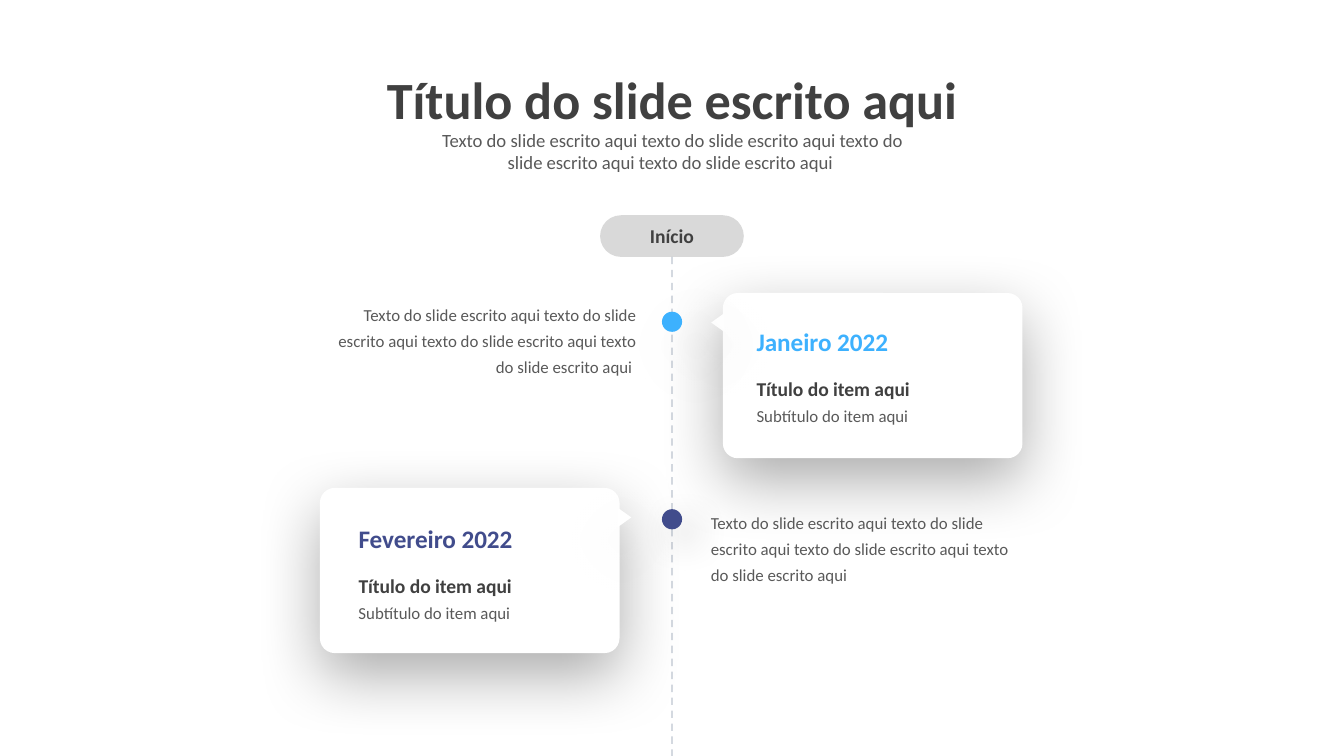
from dataclasses import dataclass

from lxml import etree
from pptx import Presentation
from pptx.dml.color import RGBColor
from pptx.enum.dml import MSO_LINE
from pptx.enum.shapes import MSO_CONNECTOR, MSO_SHAPE
from pptx.enum.text import MSO_ANCHOR, MSO_AUTO_SIZE, PP_ALIGN
from pptx.oxml.ns import qn
from pptx.util import Pt

ROUNDED, TRIANGLE, OVAL = MSO_SHAPE.ROUNDED_RECTANGLE, MSO_SHAPE.ISOSCELES_TRIANGLE, MSO_SHAPE.OVAL
LEFT, CENTER, RIGHT = PP_ALIGN.LEFT, PP_ALIGN.CENTER, PP_ALIGN.RIGHT
TOP, MIDDLE = MSO_ANCHOR.TOP, MSO_ANCHOR.MIDDLE
GROW = MSO_AUTO_SIZE.SHAPE_TO_FIT_TEXT
STRAIGHT, DASH = MSO_CONNECTOR.STRAIGHT, MSO_LINE.DASH

WHITE = RGBColor(0xFF, 0xFF, 0xFF)
PILL_GRAY = RGBColor(0xD9, 0xD9, 0xD9)
DARK = RGBColor(0x40, 0x40, 0x40)
BODY = RGBColor(0x59, 0x59, 0x59)
AXIS = RGBColor(0x2C, 0x41, 0x66)
SKY = RGBColor(0x3D, 0xB1, 0xFE)
INDIGO = RGBColor(0x41, 0x4C, 0x8C)

FONT = "Calibri"
SLIDE_WIDTH, SLIDE_HEIGHT = 720, 405
AXIS_X = SLIDE_WIDTH / 2
CARD_WIDTH, CARD_HEIGHT = 160.5, 88.5
POINTER_WIDTH, POINTER_HEIGHT = 10, 7
DOT_SIZE = 10.8
DESCRIPTION = " ".join(["Texto do slide escrito aqui"] + ["texto do slide escrito aqui"] * 3)


@dataclass
class Shadow:
    opacity: int  # percent
    blur: float
    distance: float
    angle: int


@dataclass
class Style:
    size: float
    color: RGBColor
    bold: bool = False
    align: PP_ALIGN = LEFT
    line_spacing: float = 1.0


@dataclass
class Milestone:
    month: str
    color: RGBColor
    card_left: float
    card_top: float
    label_left: float
    label_top: float
    dot_y: float
    dot_shadow: Shadow
    description: str
    description_box: tuple[float, float, float, float]
    description_align: PP_ALIGN

    @property
    def card_on_right(self) -> bool:
        return self.card_left > AXIS_X


CARD_SHADOW = Shadow(32, 35, 12, 90)
ITEM_TITLE = Style(10.5, DARK, bold=True)
ITEM_SUBTITLE = Style(9, BODY, line_spacing=1.3)

MILESTONES = [
    Milestone("Janeiro 2022", SKY, 387.3, 157, 398.2, 171.4, 172.4,
              Shadow(23, 40, 18, 45), DESCRIPTION + " ",
              (170.6, 156.2, 177.1, 49), RIGHT),
    Milestone("Fevereiro 2022", INDIGO, 171.4, 261.4, 185, 277, 278.2,
              Shadow(23, 20, 10, 45), DESCRIPTION,
              (373.7, 267.8, 179.3, 49), LEFT),
]


def add_shadow(shape, shadow: Shadow) -> None:
    effects = shape.element.spPr.find(qn("a:effectLst"))
    outer = etree.SubElement(effects, qn("a:outerShdw"), blurRad=str(Pt(shadow.blur)),
                             dist=str(Pt(shadow.distance)), dir=str(shadow.angle * 60000),
                             algn="ctr", rotWithShape="0")
    color = etree.SubElement(outer, qn("a:srgbClr"), val="000000")
    etree.SubElement(color, qn("a:alpha"), val=str(shadow.opacity * 1000))


def add_filled(shapes, kind: MSO_SHAPE, left: float, top: float, width: float,
               height: float, color: RGBColor, shadow: Shadow | None = None):
    shape = shapes.add_shape(kind, Pt(left), Pt(top), Pt(width), Pt(height))
    shape.fill.solid()
    shape.fill.fore_color.rgb = color
    shape.line.fill.background()
    shape.shadow.inherit = False
    if shadow:
        add_shadow(shape, shadow)
    return shape


def write_text(shape, text: str, style: Style, anchor: MSO_ANCHOR = TOP) -> None:
    frame = shape.text_frame
    frame.word_wrap = True
    frame.vertical_anchor = anchor
    paragraph = frame.paragraphs[0]
    paragraph.text = text
    paragraph.alignment = style.align
    paragraph.line_spacing = style.line_spacing
    paragraph.font.name = FONT
    paragraph.font.size = Pt(style.size)
    paragraph.font.bold = style.bold
    paragraph.font.color.rgb = style.color


def add_text(slide, text: str, left: float, top: float, width: float, height: float,
             style: Style) -> None:
    box = slide.shapes.add_textbox(Pt(left), Pt(top), Pt(width), Pt(height))
    write_text(box, text, style)
    box.text_frame.auto_size = GROW


def add_title(slide, text: str) -> None:
    title = slide.shapes.title
    title.left, title.top, title.width, title.height = Pt(140.7), Pt(32.4), Pt(438.5), Pt(41)
    write_text(title, text, Style(28, DARK, bold=True, align=CENTER))
    title.text_frame.auto_size = GROW


def add_axis(slide, start_shape) -> None:
    axis = slide.shapes.add_connector(STRAIGHT, Pt(AXIS_X), Pt(0), Pt(AXIS_X), Pt(SLIDE_HEIGHT))
    axis.begin_connect(start_shape, 2)
    axis.line.color.rgb = AXIS
    axis.line.width = Pt(1)
    axis.line.dash_style = DASH
    properties = axis.element.spPr
    color = next(properties.iter(qn("a:srgbClr")))
    etree.SubElement(color, qn("a:alpha"), val="20000")
    etree.SubElement(properties, qn("a:effectLst"))


def add_card(slide, milestone: Milestone) -> None:
    group = slide.shapes.add_group_shape()
    left, top = milestone.card_left, milestone.card_top
    card = add_filled(group.shapes, ROUNDED, left, top, CARD_WIDTH, CARD_HEIGHT,
                      WHITE, CARD_SHADOW)
    card.adjustments[0] = 0.09
    # The pointer faces the axis
    pointer_x = left - 2.8 if milestone.card_on_right else left + CARD_WIDTH + 2.8
    pointer = add_filled(group.shapes, TRIANGLE, pointer_x - POINTER_WIDTH / 2,
                         top + 15.8 - POINTER_HEIGHT / 2, POINTER_WIDTH, POINTER_HEIGHT,
                         WHITE, CARD_SHADOW)
    pointer.rotation = 270 if milestone.card_on_right else 90


def add_milestone(slide, milestone: Milestone) -> None:
    add_card(slide, milestone)
    add_filled(slide.shapes, OVAL, AXIS_X - DOT_SIZE / 2, milestone.dot_y - DOT_SIZE / 2,
               DOT_SIZE, DOT_SIZE, milestone.color, milestone.dot_shadow)
    add_text(slide, milestone.description, *milestone.description_box,
             Style(9, BODY, align=milestone.description_align, line_spacing=1.3))
    left, top = milestone.label_left, milestone.label_top
    add_text(slide, milestone.month, left, top, 140, 23.7,
             Style(13.5, milestone.color, bold=True))
    add_text(slide, "Título do item aqui", left, top + 27, 140, 20, ITEM_TITLE)
    add_text(slide, "Subtítulo do item aqui", left, top + 38.9, 113, 21, ITEM_SUBTITLE)


def main() -> None:
    presentation = Presentation()
    presentation.slide_width, presentation.slide_height = Pt(SLIDE_WIDTH), Pt(SLIDE_HEIGHT)
    slide = presentation.slides.add_slide(presentation.slide_layouts[5])

    # Heading
    add_title(slide, "Título do slide escrito aqui")
    add_text(slide, DESCRIPTION + " ", 223, 65.5, 274.3, 31.7, Style(10, BODY, align=CENTER))

    # Start label and dashed axis
    start = add_filled(slide.shapes, ROUNDED, AXIS_X - 38.5, 115.3, 77, 22.3, PILL_GRAY)
    start.adjustments[0] = 0.5
    write_text(start, "Início", Style(10.5, DARK, bold=True, align=CENTER), MIDDLE)
    add_axis(slide, start)

    # Milestones on alternating sides
    for milestone in MILESTONES:
        add_milestone(slide, milestone)

    presentation.save("out.pptx")


if __name__ == "__main__":
    main()
